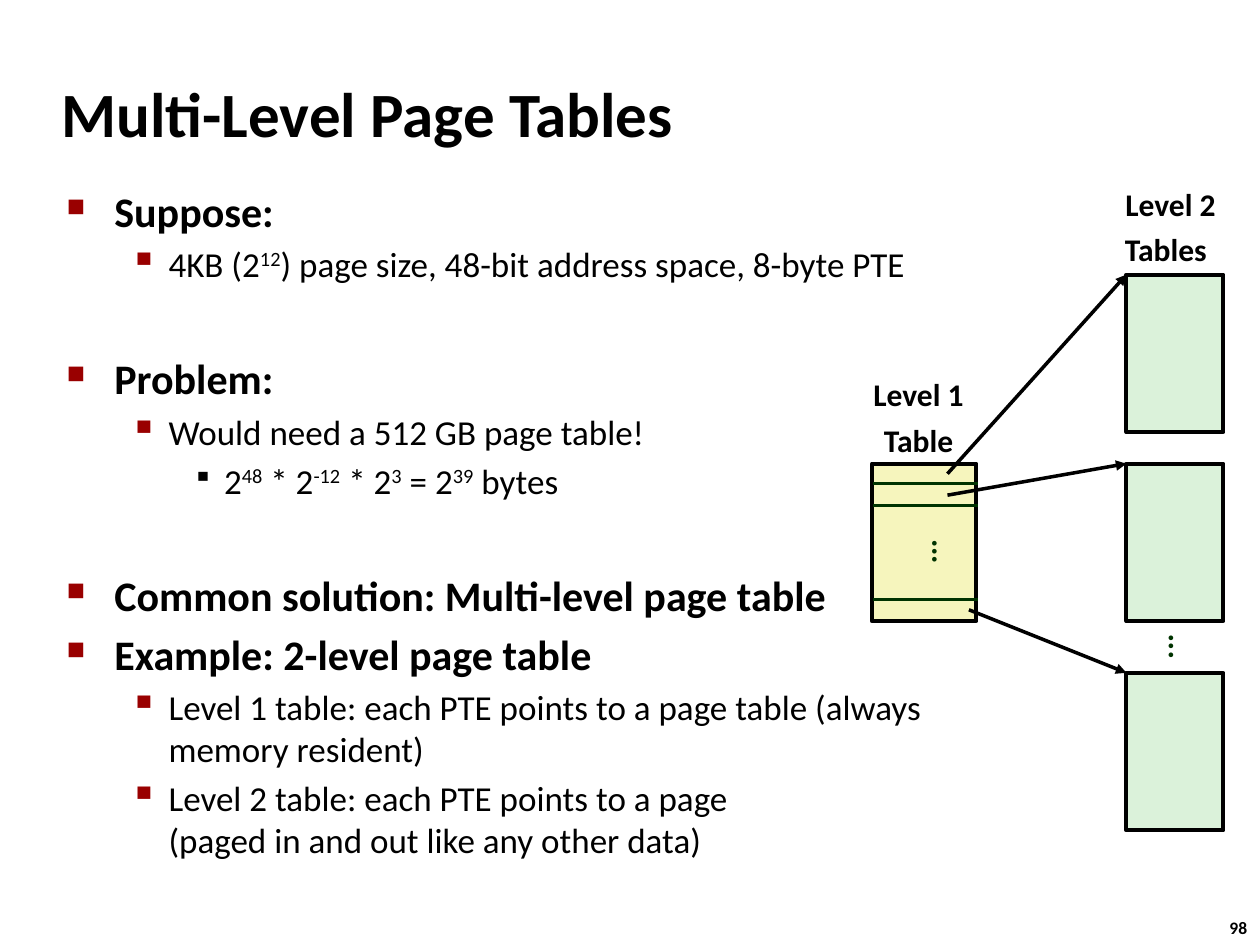
import pptx
import pptx.dml.color
import pptx.enum.shapes
import pptx.enum.text
import pptx.oxml.ns
import pptx.util
from dataclasses import dataclass
from lxml import etree

Inches, Pt = pptx.util.Inches, pptx.util.Pt
ALIGN = pptx.enum.text.PP_ALIGN
qn = pptx.oxml.ns.qn


@dataclass(frozen=True)
class Theme:
    font: str = "Calibri"
    black: str = "000000"
    red: str = "990000"
    dark_green: str = "003300"
    yellow: str = "F6F5BD"
    light_green: str = "DBF2DA"
    title: int = 36
    heading: int = 24
    body: int = 20
    label: int = 18
    number: int = 10


THEME = Theme()

# Per outline level: left margin, hanging indent, bullet, colour, bullet size %, text size
LEVELS = [
    (0.38, 0.38, "■", THEME.red, 60, THEME.heading),
    (0.81, 0.31, "▪", THEME.red, 110, THEME.body),
    (1.25, 0.25, "▪", THEME.black, 80, THEME.body),
]
SECTION_GAP = 39  # points above a heading that opens a new section


def rgb(colour):
    return pptx.dml.color.RGBColor.from_string(colour)


class SlideBuilder:
    def __init__(self, slide, theme):
        self.slide = slide
        self.theme = theme

    def style(self, paragraph, size, bold=True, colour=None):
        for run in paragraph.runs:
            run.font.name = self.theme.font
            run.font.size = Pt(size)
            run.font.bold = bold
            run.font.color.rgb = rgb(colour or self.theme.black)

    def frame(self, left, top, width, height, wrap=False):
        box = self.slide.shapes.add_textbox(
            Inches(left), Inches(top), Inches(width), Inches(height))
        box.text_frame.word_wrap = wrap
        return box

    def text(self, text, left, top, width, height, size, wrap=False, middle=False):
        frame = self.frame(left, top, width, height, wrap).text_frame
        frame.text = text
        if middle:
            frame.vertical_anchor = pptx.enum.text.MSO_ANCHOR.MIDDLE
        self.style(frame.paragraphs[0], size)

    def label(self, lines, left, top, width, height, aligns, colour=None):
        box = self.frame(left, top, width, height)
        box.text_frame.text = "\n".join(lines)
        for i, (paragraph, align) in enumerate(zip(box.text_frame.paragraphs, aligns)):
            paragraph.alignment = align
            paragraph.line_spacing = 0.88
            paragraph.space_before = Pt(6.8 if i else 0)
            self.style(paragraph, self.theme.label, colour=colour)
        return box

    def dots(self, left, top, width, height):
        return self.label(["..."], left, top, width, height, [ALIGN.LEFT],
                          self.theme.dark_green)

    def outline(self, items, left, top, width, height):
        """Each item is (level, text, opens section); ^ toggles superscript."""
        frame = self.frame(left, top, width, height, wrap=True).text_frame
        for i, (level, text, opens_section) in enumerate(items):
            paragraph = frame.add_paragraph() if i else frame.paragraphs[0]
            size = LEVELS[level][-1]
            gap = SECTION_GAP if opens_section else 0.2 * size
            paragraph.level = level
            paragraph.space_before = Pt(gap if i else 0)
            self.bullet(paragraph, level)
            pieces = text.split("^")
            paragraph.text = pieces[0]
            for piece in pieces[1:]:
                paragraph.add_run().text = piece
            self.style(paragraph, size, bold=level == 0)
            for run in paragraph.runs[1::2] if len(pieces) > 1 else ():
                run.font._element.set("baseline", "30000")

    def bullet(self, paragraph, level):
        margin, hanging, char, colour, percent, _ = LEVELS[level]
        props = paragraph._p.get_or_add_pPr()
        props.set("marL", str(Inches(margin)))
        props.set("indent", str(-Inches(hanging)))
        bullet_colour = etree.SubElement(props, qn("a:buClr"))
        etree.SubElement(bullet_colour, qn("a:srgbClr"), val=colour)
        etree.SubElement(props, qn("a:buSzPct"), val=str(percent * 1000))
        etree.SubElement(props, qn("a:buChar"), char=char)

    def box(self, left, top, width, height, fill):
        shape = self.slide.shapes.add_shape(
            pptx.enum.shapes.MSO_SHAPE.RECTANGLE,
            Inches(left), Inches(top), Inches(width), Inches(height))
        shape.shadow.inherit = False
        shape.fill.solid()
        shape.fill.fore_color.rgb = rgb(fill)
        shape.line.color.rgb = rgb(self.theme.black)
        shape.line.width = Pt(2.25)

    def line(self, start, end, colour, width, arrow=False):
        connector = self.slide.shapes.add_connector(
            pptx.enum.shapes.MSO_CONNECTOR.STRAIGHT,
            *(Inches(v) for v in (*start, *end)))
        connector.line.color.rgb = rgb(colour)
        connector.line.width = Pt(width)
        if arrow:
            etree.SubElement(connector.line._get_or_add_ln(), qn("a:tailEnd"),
                             type="triangle")
        etree.SubElement(connector._element.spPr, qn("a:effectLst"))


def main():
    deck = pptx.Presentation()
    deck.slide_width, deck.slide_height = Inches(10), Inches(7.5)
    page = SlideBuilder(deck.slides.add_slide(deck.slide_layouts[6]), THEME)

    # Slide number, title and outline
    page.text("98", 9.66, 7.23, 0.37, 0.27, THEME.number)
    page.text("Multi-Level Page Tables", 0.39, 0.48, 8.3, 0.83, THEME.title,
              wrap=True, middle=True)
    page.outline([
        (0, "Suppose:", False),
        (1, "4KB (2^12^) page size, 48-bit address space, 8-byte PTE", False),
        (0, "Problem:", True),
        (1, "Would need a 512 GB page table!", False),
        (2, "2^48^ * 2^-12^ * 2^3^ = 2^39^ bytes", False),
        (0, "Common solution: Multi-level page table", True),
        (0, "Example: 2-level page table", False),
        (1, "Level 1 table: each PTE points to a page table "
            "(always memory resident)", False),
        (1, "Level 2 table: each PTE points to a page \v"
            "(paged in and out like any other data)", False),
    ], 0.43, 1.42, 7.57, 5.44)

    # Level 1 table
    table_height = 1.25
    page.label(["Level 1", "Table"], 6.83, 2.97, 0.92, 0.73,
               [ALIGN.CENTER, ALIGN.CENTER])
    page.box(6.92, 3.68, 0.83, table_height, THEME.yellow)

    # Level 2 tables, each with the arrow from its level 1 entry
    level2_left = 8.94
    entries = [((7.52, 3.76), 2.18), ((7.52, 3.93), 3.68), ((7.69, 4.84), 5.34)]
    for _, top in entries:
        page.box(level2_left, top, 0.77, table_height, THEME.light_green)
    page.dots(9.03, 4.95, 0.4, 0.36).rotation = 270
    page.label(["Level 2", "Tables"], 8.83, 1.46, 0.92, 0.73,
               [ALIGN.CENTER, ALIGN.LEFT])
    for entry, top in entries:
        page.line(entry, (level2_left, top), THEME.black, 2, arrow=True)

    # Entry dividers and dots inside the level 1 table
    for y in (3.84, 4.01, 4.76):
        page.line((6.93, y), (7.76, y), THEME.dark_green, 1.5)
    entry_dots = page.dots(7.19, 4.18, 0.47, 0.3)
    entry_dots.text_frame._txBody.bodyPr.set("vert", "eaVert")

    deck.save("out.pptx")


if __name__ == "__main__":
    main()
